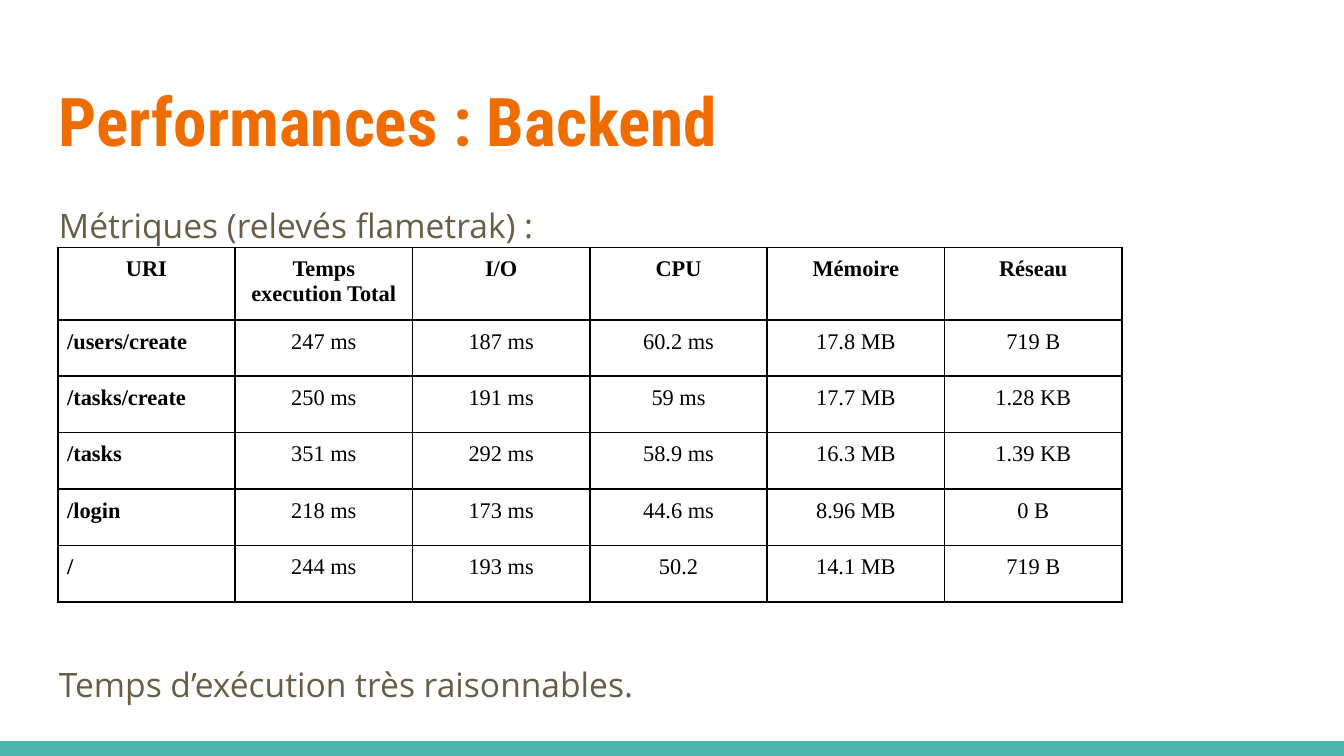
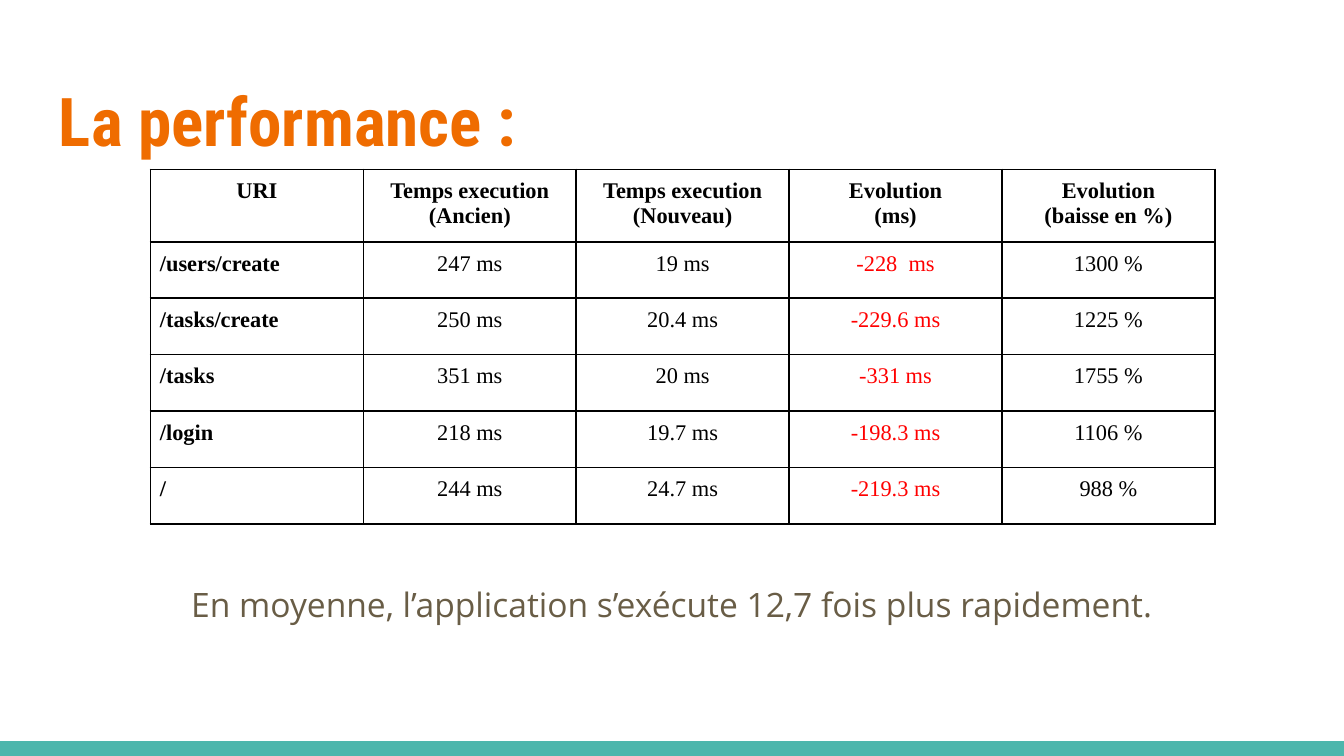
from dataclasses import dataclass

import pptx
import pptx.dml.color
import pptx.enum.shapes
import pptx.enum.text
import pptx.oxml
import pptx.oxml.ns
import pptx.util

Inches = pptx.util.Inches
Align = pptx.enum.text.PP_ALIGN


@dataclass(frozen=True)
class Theme:
    white: str = "FFFFFF"
    teal: str = "4DB6AC"
    orange: str = "EF6C00"
    brown: str = "695D46"
    black: str = "000000"
    red: str = "FF0000"
    title_font: str = "Roboto Condensed"
    body_font: str = "Open Sans"
    table_font: str = "Times New Roman"
    title_size: int = 36
    body_size: int = 18
    table_size: int = 12


THEME = Theme()
PAGE_WIDTH = 10
PAGE_HEIGHT = PAGE_WIDTH * 9 / 16
BAND_HEIGHT = 0.11
BAND_BOX = (0, PAGE_HEIGHT - BAND_HEIGHT, PAGE_WIDTH, BAND_HEIGHT)
TITLE_BOX = (0.34, 0.49, 9.32, 0.77)
TABLE_WIDTH, ROW_HEIGHT = 7.92, 0.42

TITLE = {"name": THEME.title_font, "size": THEME.title_size, "bold": True, "color": THEME.orange}
BODY = {"name": THEME.body_font, "size": THEME.body_size, "bold": False, "color": THEME.brown}
CELL = {"name": THEME.table_font, "size": THEME.table_size, "bold": False, "color": THEME.black}

BACKEND_ROWS = [
    ["URI", "Temps execution Total", "I/O", "CPU", "Mémoire", "Réseau"],
    ["/users/create", "247 ms", "187 ms", "60.2 ms", "17.8 MB", "719 B"],
    ["/tasks/create", "250 ms", "191 ms", "59 ms", "17.7 MB", "1.28 KB"],
    ["/tasks", "351 ms", "292 ms", "58.9 ms", "16.3 MB", "1.39 KB"],
    ["/login", "218 ms", "173 ms", "44.6 ms", "8.96 MB", "0 B"],
    ["/", "244 ms", "193 ms", "50.2", "14.1 MB", "719 B"],
]
EVOLUTION_ROWS = [
    ["URI", "Temps execution (Ancien)", "Temps execution (Nouveau)",
     "Evolution\n(ms)", "Evolution\n(baisse en %)"],
    ["/users/create", "247 ms", "19 ms", "-228  ms", "1300 %"],
    ["/tasks/create", "250 ms", "20.4 ms", "-229.6 ms", "1225 %"],
    ["/tasks", "351 ms", "20 ms", "-331 ms", "1755 %"],
    ["/login", "218 ms", "19.7 ms", "-198.3 ms", "1106 %"],
    ["/", "244 ms", "24.7 ms", "-219.3 ms", "988 %"],
]


def rgb(value):
    return pptx.dml.color.RGBColor.from_string(value)


def write_lines(frame, lines, font, para_format):
    """Write one paragraph per line, with shared font and paragraph values."""
    for index, line in enumerate(lines):
        para = frame.add_paragraph() if index else frame.paragraphs[0]
        for name, value in para_format.items():
            setattr(para, name, value)
        span = para.add_run()
        span.text = line
        values = {**font, "size": pptx.util.Pt(font["size"])}
        span.font.color.rgb = rgb(values.pop("color"))
        for name, value in values.items():
            setattr(span.font, name, value)


def add_text(page, box, lines, font, **para_format):
    frame = page.shapes.add_textbox(*map(Inches, box)).text_frame
    frame.word_wrap = True
    frame.vertical_anchor = pptx.enum.text.MSO_ANCHOR.TOP
    for side in ("left", "top", "right", "bottom"):
        setattr(frame, f"margin_{side}", Inches(0.1))
    write_lines(frame, lines, font, para_format)


def add_body(page, box, lines, alignment=Align.LEFT, gap=16):
    add_text(page, box, lines, BODY, alignment=alignment,
             line_spacing=1.15, space_after=pptx.util.Pt(gap))


def set_borders(cell):
    properties = cell._tc.get_or_add_tcPr()
    for position, side in enumerate(("lnL", "lnR", "lnT", "lnB")):
        properties.insert(position, pptx.oxml.parse_xml(
            f'<a:{side} {pptx.oxml.ns.nsdecls("a")} w="{pptx.util.Pt(1)}">'
            f'<a:solidFill><a:srgbClr val="{THEME.black}"/></a:solidFill>'
            f'<a:prstDash val="solid"/></a:{side}>'))


def fill_cell(cell, text, font, alignment):
    for side in ("left", "top", "right", "bottom"):
        setattr(cell, f"margin_{side}", Inches(0.07))
    cell.fill.background()
    set_borders(cell)
    write_lines(cell.text_frame, text.split("\n"), font, {"alignment": alignment})


def add_metrics_table(page, left, top, rows, red_column=None):
    row_count, column_count = len(rows), len(rows[0])
    box = (left, top, TABLE_WIDTH, ROW_HEIGHT * row_count)
    table = page.shapes.add_table(row_count, column_count, *map(Inches, box)).table
    table.first_row = table.horz_banding = False
    for row_index, row in enumerate(rows):
        for column_index, text in enumerate(row):
            is_header, is_uri = row_index == 0, column_index == 0
            is_red = column_index == red_column and not is_header
            font = {**CELL, "bold": is_header or is_uri,
                    "color": THEME.red if is_red else THEME.black}
            alignment = Align.LEFT if is_uri and not is_header else Align.CENTER
            fill_cell(table.cell(row_index, column_index), text, font, alignment)


def add_page(deck, title):
    page = deck.slides.add_slide(deck.slide_layouts[6])
    page.background.fill.solid()
    page.background.fill.fore_color.rgb = rgb(THEME.white)
    band = page.shapes.add_shape(
        pptx.enum.shapes.MSO_SHAPE.RECTANGLE, *map(Inches, BAND_BOX))
    band.shadow.inherit = False
    band.fill.solid()
    band.fill.fore_color.rgb = rgb(THEME.teal)
    band.line.fill.background()
    add_text(page, TITLE_BOX, [title], TITLE)
    return page


def add_backend_page(deck):
    page = add_page(deck, "Performances : Backend")
    add_body(page, (0.34, 1.38, 9.32, 3.84),
             ["Métriques (relevés flametrak) :", "Temps d’exécution très raisonnables."],
             gap=221)
    add_metrics_table(page, 0.43, 1.84, BACKEND_ROWS)


def add_evolution_page(deck):
    page = add_page(deck, "La performance :")
    add_body(page, (0.34, 4.2, 9.32, 0.65),
             ["En moyenne, l’application s’exécute 12,7 fois plus rapidement."],
             alignment=Align.CENTER)
    add_metrics_table(page, 1.12, 1.26, EVOLUTION_ROWS, red_column=3)


def main():
    deck = pptx.Presentation()
    deck.slide_width, deck.slide_height = Inches(PAGE_WIDTH), Inches(PAGE_HEIGHT)
    add_backend_page(deck)
    add_evolution_page(deck)
    deck.save("out.pptx")


if __name__ == "__main__":
    main()
